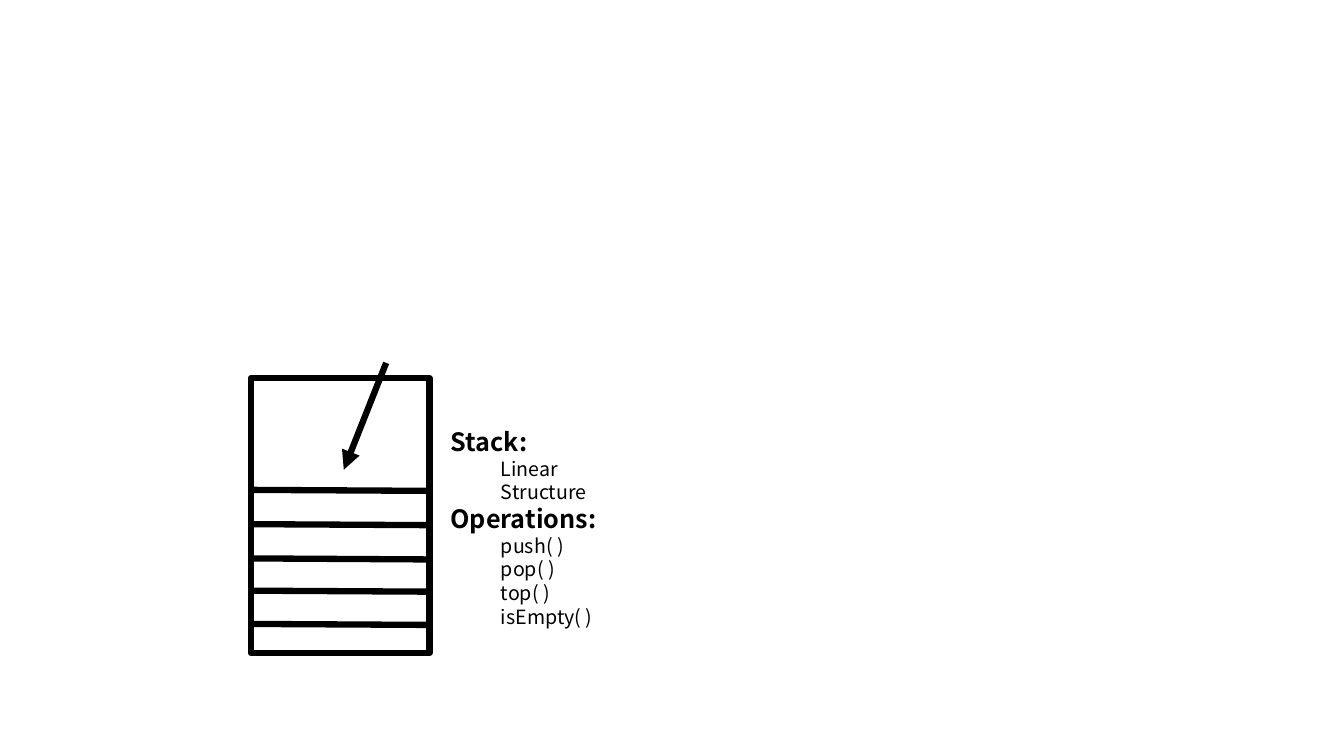
from lxml import etree
from pptx import Presentation
from pptx.dml.color import RGBColor
from pptx.enum.shapes import MSO_CONNECTOR, MSO_SHAPE
from pptx.oxml.ns import qn
from pptx.util import Inches, Pt

STRAIGHT = MSO_CONNECTOR.STRAIGHT
RECTANGLE = MSO_SHAPE.RECTANGLE
COLORS = {"ink": "000000"}
FONT = "Noto Sans CJK SC"
LINE_WIDTH = Pt(4.5)
DIVIDER_OFFSETS = (1.11, 1.45, 1.79, 2.11, 2.44)
NOTES = (
    ("Stack:", ("Linear Structure",)),
    ("Operations:", ("push( )", "pop( )", "top( )", "isEmpty( )")),
)


def ink():
    return RGBColor.from_string(COLORS["ink"])


def add_line(shapes, start, end, arrow=False):
    points = [Inches(value) for value in (*start, *end)]
    connector = shapes.add_connector(STRAIGHT, *points)
    connector.line.color.rgb = ink()
    connector.line.width = LINE_WIDTH
    if arrow:
        line = connector.line._get_or_add_ln()
        etree.SubElement(line, qn("a:tailEnd"), type="triangle")
    etree.SubElement(connector._element.spPr, qn("a:effectLst"))


def add_stack(slide, left, top, width, height):
    shapes = slide.shapes.add_group_shape().shapes
    frame = shapes.add_shape(
        RECTANGLE, Inches(left), Inches(top), Inches(width), Inches(height))
    frame.shadow.inherit = False
    frame.fill.background()
    frame.line.color.rgb = ink()
    frame.line.width = LINE_WIDTH
    for offset in DIVIDER_OFFSETS:
        level = top + offset
        add_line(shapes, (left, level), (left + width, level + 0.01))
    add_line(shapes, (left + 1.34, top - 0.15), (left + 0.92, top + 0.91),
             arrow=True)


def add_notes(slide, left, top, width, height):
    text_box = slide.shapes.add_textbox(
        Inches(left), Inches(top), Inches(width), Inches(height))
    text_frame = text_box.text_frame
    text_frame.word_wrap = True
    entries = []
    for heading, details in NOTES:
        entries.append((heading, True))
        entries.extend((detail, False) for detail in details)
    text_frame.text = "\n".join(text for text, _ in entries)
    for paragraph, (_, is_heading) in zip(text_frame.paragraphs, entries):
        size = 18 if is_heading else 14
        paragraph.line_spacing = Pt(size * 1.2)
        if not is_heading:
            paragraph.level = 1
            properties = paragraph._p.get_or_add_pPr()
            properties.set("marL", str(Inches(0.5)))
            properties.set("indent", "0")
        for run in paragraph.runs:
            run.font.name = FONT
            run.font.size = Pt(size)
            run.font.bold = is_heading
            run.font.color.rgb = ink()


def main():
    presentation = Presentation()
    presentation.slide_width = Inches(13.33)
    presentation.slide_height = Inches(7.5)
    slide = presentation.slides.add_slide(presentation.slide_layouts[6])
    add_stack(slide, 2.49, 3.75, 1.77, 2.73)
    add_notes(slide, 4.37, 4.18, 2.04, 1.88)
    presentation.save("out.pptx")


if __name__ == "__main__":
    main()
